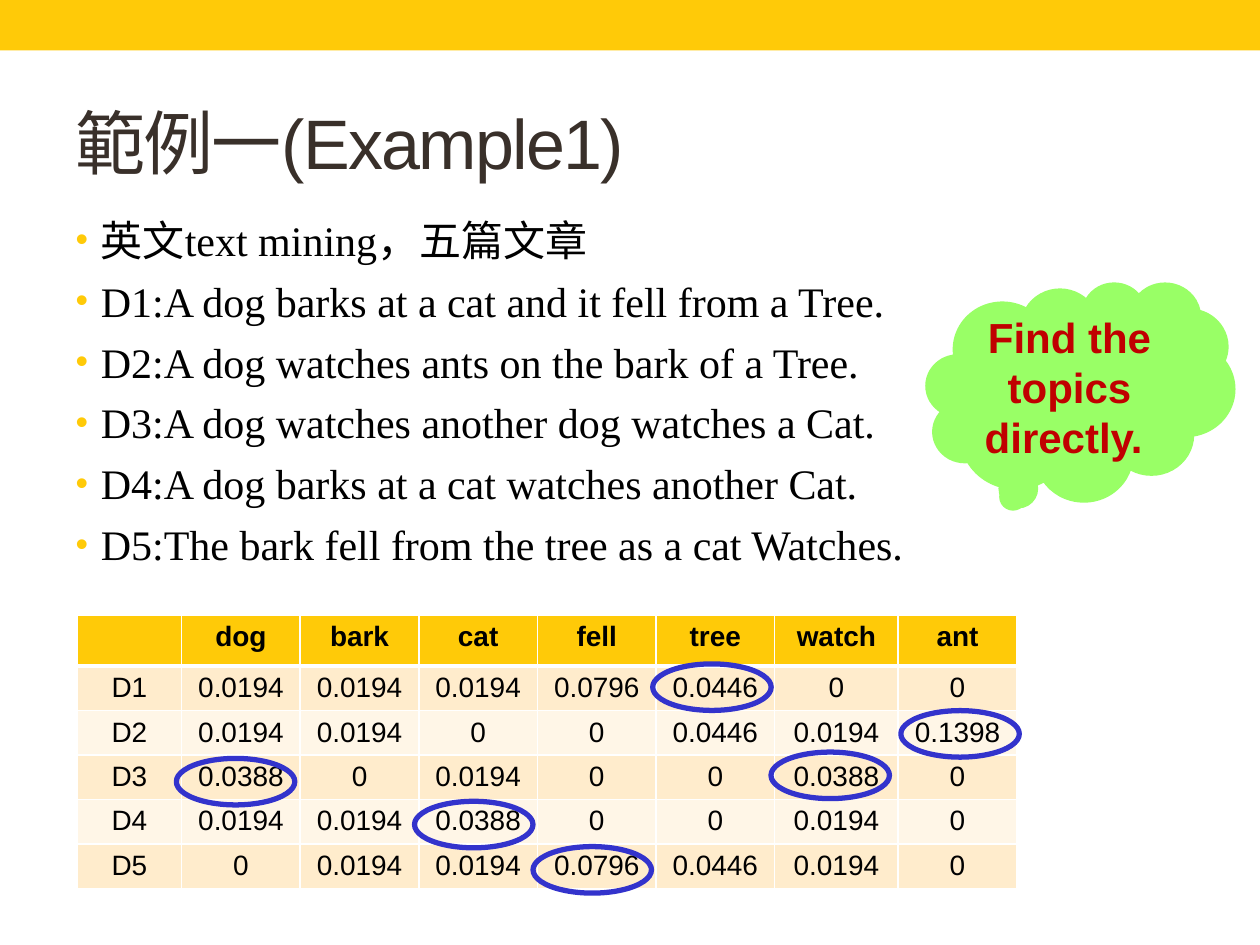
from dataclasses import dataclass

from lxml.etree import SubElement
from pptx import Presentation
from pptx.dml.color import RGBColor
from pptx.enum.shapes import MSO_SHAPE
from pptx.enum.text import MSO_ANCHOR, MSO_AUTO_SIZE, PP_ALIGN
from pptx.oxml.ns import qn
from pptx.util import Pt

GOLD, INK, BLACK, WHITE = "FFCA08", "39302A", "000000", "FFFFFF"
LIME, RED, BLUE = "99FF66", "C00000", "3333CC"
BANDS = ("FFECCC", "FFF6E7")


@dataclass(frozen=True)
class Box:
    left: float
    top: float
    width: float
    height: float

    def place(self) -> tuple:
        return Pt(self.left), Pt(self.top), Pt(self.width), Pt(self.height)


@dataclass(frozen=True)
class Ring:
    left: float
    top: float


RINGS = (
    Ring(373, 379.4), Ring(514.8, 406.1), Ring(100.8, 433.4),
    Ring(440.6, 429.8), Ring(236.9, 457.9), Ring(304.6, 483.8),
)
LINES = (
    "英文text mining，五篇文章",
    "D1:A dog barks at a cat and it fell from a Tree.",
    "D2:A dog watches ants on the bark of a Tree.",
    "D3:A dog watches another dog watches a Cat.",
    "D4:A dog barks at a cat watches another Cat.",
    "D5:The bark fell from the tree as a cat Watches.",
)
ROWS = (
    ("", "dog", "bark", "cat", "fell", "tree", "watch", "ant"),
    ("D1", "0.0194", "0.0194", "0.0194", "0.0796", "0.0446", "0", "0"),
    ("D2", "0.0194", "0.0194", "0", "0", "0.0446", "0.0194", "0.1398"),
    ("D3", "0.0388", "0", "0.0194", "0", "0", "0.0388", "0"),
    ("D4", "0.0194", "0.0194", "0.0388", "0", "0", "0.0194", "0"),
    ("D5", "0", "0.0194", "0.0194", "0.0796", "0.0446", "0.0194", "0"),
)
WIDTHS = (59.6, 67.8, 67.8, 67.8, 67.8, 67.8, 70.6, 67.8)


def tint(code: str) -> RGBColor:
    return RGBColor.from_string(code)


def add_dot(para) -> None:
    props = para._p.get_or_add_pPr()
    props.set("marL", str(Pt(14.4)))
    props.set("indent", str(-Pt(14.4)))
    hue = SubElement(props, qn("a:buClr"))
    SubElement(hue, qn("a:srgbClr"), val=GOLD)
    SubElement(props, qn("a:buSzPct"), val="85000")
    SubElement(props, qn("a:buFont"), typeface="Arial")
    SubElement(props, qn("a:buChar"), char="•")


def write(frame, *texts: str, size: float, color: str = BLACK, face: str = "Arial",
          bold: bool = False, align=PP_ALIGN.LEFT, gap: float = 0,
          track: int = 0, dots: bool = False) -> None:
    for i, text in enumerate(texts):
        para = frame.add_paragraph() if i else frame.paragraphs[0]
        if dots:
            add_dot(para)
        para.alignment = align
        para.space_before = Pt(gap if i else 0)
        run = para.add_run()
        run.text = text
        font = run.font
        font.size, font.name, font.bold = Pt(size), face, bold
        font.color.rgb = tint(color)
        if track:
            run._r.get_or_add_rPr().set("spc", str(track))


def draw(slide, kind, box: Box, fill: str = "", line: str = "", width: float = 0):
    shape = slide.shapes.add_shape(kind, *box.place())
    shape.shadow.inherit = False
    if fill:
        shape.fill.solid()
        shape.fill.fore_color.rgb = tint(fill)
    else:
        shape.fill.background()
    if line:
        shape.line.color.rgb = tint(line)
        shape.line.width = Pt(width)
    else:
        shape.line.fill.background()
    return shape


def fill_holder(holder, box: Box, anchor, *texts: str, **style) -> None:
    holder.left, holder.top, holder.width, holder.height = box.place()
    frame = holder.text_frame
    frame.auto_size = MSO_AUTO_SIZE.NONE
    frame.word_wrap = True
    frame.vertical_anchor = anchor
    write(frame, *texts, **style)


def edge_cell(cell, top: float, base: float) -> None:
    props = cell._tc.get_or_add_tcPr()
    for side, width in (("L", 1), ("R", 1), ("T", top), ("B", base)):
        edge = SubElement(props, qn(f"a:ln{side}"), w=str(Pt(width)))
        paint = SubElement(edge, qn("a:solidFill"))
        SubElement(paint, qn("a:srgbClr"), val=WHITE)


def add_grid(slide, box: Box) -> None:
    grid = slide.shapes.add_table(len(ROWS), len(WIDTHS), *box.place()).table
    for col, width in zip(grid.columns, WIDTHS):
        col.width = Pt(width)
    for r, row in enumerate(ROWS):
        grid.rows[r].height = Pt(box.height / len(ROWS))
        for c, text in enumerate(row):
            cell = grid.cell(r, c)
            edge_cell(cell, top=3 if r == 1 else 1, base=3 if r == 0 else 1)
            cell.fill.solid()
            cell.fill.fore_color.rgb = tint(BANDS[(r - 1) % 2] if r else GOLD)
            if text:
                write(cell.text_frame, text, size=16, bold=r == 0,
                      align=PP_ALIGN.CENTER)


def main() -> None:
    deck = Presentation()
    deck.slide_width, deck.slide_height = Pt(720), Pt(540)
    slide = deck.slides.add_slide(deck.slide_layouts[1])
    draw(slide, MSO_SHAPE.RECTANGLE, Box(0, 0, 720, 28.8), GOLD)
    title, body = slide.placeholders
    fill_holder(title, Box(36, 41.8, 648, 77.8), MSO_ANCHOR.MIDDLE,
                "範例一(Example1)", size=40, color=INK, track=-100)
    fill_holder(body, Box(36, 118.8, 648, 383.8), MSO_ANCHOR.TOP, *LINES,
                size=24, face="Times New Roman", gap=6, dots=True)

    cloud = draw(slide, MSO_SHAPE.CLOUD_CALLOUT, Box(529.9, 162, 175, 123.8),
                 LIME, LIME, 2.08)
    cloud.adjustments[0], cloud.adjustments[1] = -0.216, 0.476
    cloud.text_frame.word_wrap = True
    cloud.text_frame.vertical_anchor = MSO_ANCHOR.MIDDLE
    write(cloud.text_frame, "Find the topics directly. ", size=24, color=RED,
          bold=True, align=PP_ALIGN.CENTER)

    add_grid(slide, Box(44.2, 351.4, sum(WIDTHS), 152.4))
    for ring in RINGS:
        draw(slide, MSO_SHAPE.OVAL, Box(ring.left, ring.top, 67.7, 26.6),
             line=BLUE, width=3)
    deck.save("out.pptx")


if __name__ == "__main__":
    main()
